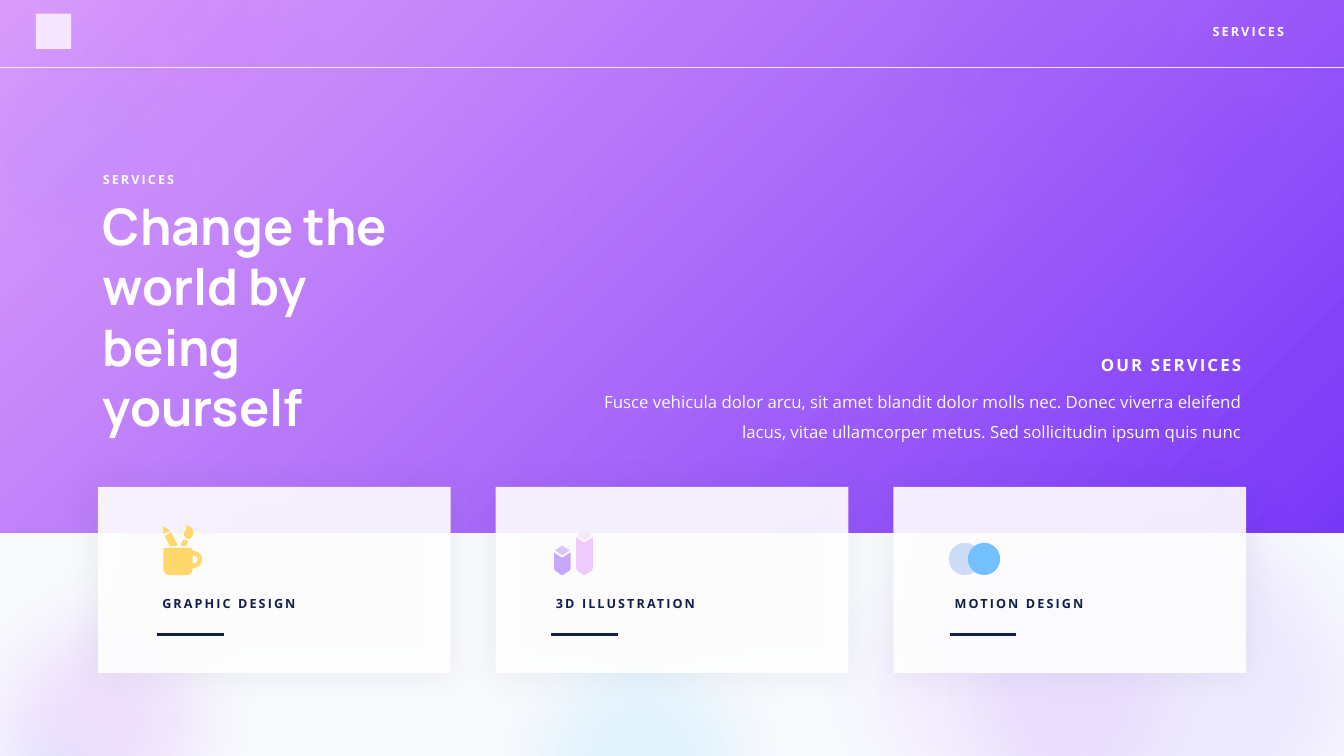
from lxml.etree import SubElement as add_node
from pptx import Presentation as Deck
from pptx.dml.color import RGBColor as Rgb
from pptx.enum.shapes import MSO_CONNECTOR as Wire, MSO_SHAPE as Kind
from pptx.enum.text import MSO_ANCHOR as Anchor, MSO_AUTO_SIZE as Fit, PP_ALIGN as Align
from pptx.oxml.ns import qn
from pptx.util import Pt

PX = 9144
WIDE, HIGH = 2666, 1500

WHITE = Rgb(0xFF, 0xFF, 0xFF)
PAPER = Rgb(0xF8, 0xFA, 0xFE)
NAVY = Rgb(0x13, 0x1F, 0x49)
INDIGO = Rgb(0x63, 0x16, 0xF9)
PURPLE = Rgb(0x9E, 0x6E, 0xFB)
ORCHID = Rgb(0xD1, 0x7D, 0xFC)
BLUSH = Rgb(0xF1, 0xCD, 0xFC)
PETAL = Rgb(0xF6, 0xE5, 0xFE)
PINK = Rgb(0xED, 0xCB, 0xFE)
LILAC = Rgb(0xC5, 0xA8, 0xFD)
MAUVE = Rgb(0xD8, 0xC5, 0xFD)
BLUE = Rgb(0x72, 0xC0, 0xFD)
AQUA = Rgb(0x8B, 0xD8, 0xFD)
ICE = Rgb(0xCC, 0xDB, 0xF8)
GOLD = Rgb(0xFF, 0xD7, 0x6B)

LABEL = dict(size=Pt(18), name="Open Sans", bold=True)
HEAD = dict(size=Pt(24), name="Open Sans", bold=True)
PROSE = dict(size=Pt(24), name="Open Sans", bold=False)
TITLE = dict(size=Pt(72), name="Manrope", bold=True)

GLOWS = [
    (-240, -113, 745, BLUE, 20),
    (0, -352, 745, ORCHID, 17),
    (2169, 20, 523, PURPLE, 19),
    (1764, 826, 1076, PURPLE, 12),
    (1561, 910, 916, ORCHID, 10),
    (899, 1127, 745, AQUA, 20),
    (1657, -278, 745, BLUSH, 20),
    (-169, 1057, 745, ORCHID, 20),
    (-169, 1306, 523, BLUE, 19),
]

MUG = [
    [[(59, 51), (61, 51), (69, 53), (76, 59), (78, 68), (76, 77), (69, 83),
      (61, 85), (59, 85), (59, 89), (56, 96), (49, 99), (12, 99), (5, 96),
      (1, 89), (1, 49), (2, 46), (5, 45), (55, 45), (58, 46), (59, 49)],
     [(59, 61), (60, 60), (61, 60), (67, 62), (70, 68), (67, 74), (61, 76),
      (60, 76), (59, 75)]],
    [[(13, 12), (13, 10), (3, 3), (1, 3), (0, 4), (0, 6), (1, 16), (3, 17)]],
    [[(4, 21), (4, 22), (13, 40), (15, 41), (27, 41), (29, 39), (29, 38),
      (17, 15), (15, 15)]],
    [[(45, 30), (43, 28), (41, 28), (36, 38), (36, 40), (38, 41), (45, 41),
      (47, 40), (50, 32), (49, 31)]],
    [[(60, 11), (56, 4), (48, 0), (46, 1), (46, 3), (47, 7), (44, 11), (42, 15),
      (42, 21), (46, 26), (52, 27), (56, 25), (60, 19)]],
]
LID = [(0, 9), (12, 1), (14, 0), (17, 1), (29, 9), (16, 18), (13, 18)]


def scale(*box):
    return [v * PX for v in box]


def paint(shape, color, alpha=100):
    shape.shadow.inherit = False
    shape.line.fill.background()
    shape.fill.solid()
    shape.fill.fore_color.rgb = color
    if alpha < 100:
        tint = shape._element.spPr.find(".//" + qn("a:srgbClr"))
        add_node(tint, qn("a:alpha"), val=str(alpha * 1000))
    return shape


def add_form(slide, kind, box, color, alpha=100):
    return paint(slide.shapes.add_shape(kind, *scale(*box)), color, alpha)


def add_effect(shape, tag, **values):
    effects = shape._element.spPr.find(qn("a:effectLst"))
    return add_node(effects, qn(tag), **{k: str(v) for k, v in values.items()})


def add_shade(shape, color, alpha, blur):
    shade = add_effect(shape, "a:outerShdw", blurRad=Pt(blur), dist=Pt(3),
                       dir=135 * 60000, algn="tl", rotWithShape=0)
    tint = add_node(shade, qn("a:srgbClr"), val=str(color))
    add_node(tint, qn("a:alpha"), val=str(alpha * 1000))


def blend(shape, stops, angle):
    old = shape._element.spPr.find(qn("a:solidFill"))
    grad = old.makeelement(qn("a:gradFill"), {"rotWithShape": "1"})
    old.getparent().replace(old, grad)
    chain = add_node(grad, qn("a:gsLst"))
    for pos, color, alpha in stops:
        stop = add_node(chain, qn("a:gs"), pos=str(pos * 1000))
        tint = add_node(stop, qn("a:srgbClr"), val=str(color))
        add_node(tint, qn("a:alpha"), val=str(alpha * 1000))
    add_node(grad, qn("a:lin"), ang=str(angle * 60000), scaled="0")


def write(frame, words, look, color, align=Align.LEFT, gap=0, wrap=True):
    for key, value in dict(word_wrap=wrap, auto_size=Fit.NONE,
                           vertical_anchor=Anchor.TOP).items():
        setattr(frame, key, value)
    para = frame.paragraphs[0]
    para.alignment = align
    run = para.add_run()
    run.text = words
    for key, value in look.items():
        setattr(run.font, key, value)
    run.font.color.rgb = color
    if gap:
        run._r.get_or_add_rPr().set("spc", str(gap * 100))
    return para


def add_label(slide, box, words, look, color, align=Align.LEFT):
    frame = slide.shapes.add_textbox(*scale(*box)).text_frame
    write(frame, words, look, color, align, 3, False)


def add_rule(slide, left, top, width, color, weight):
    rule = slide.shapes.add_connector(
        Wire.STRAIGHT, *scale(left, top, left + width, top))
    rule.line.color.rgb = color
    rule.line.width = Pt(weight)
    add_node(rule._element.spPr, qn("a:effectLst"))


def draw(slide, left, top, loops, color):
    pen = slide.shapes.build_freeform(*loops[0][0], scale=PX)
    pen.add_line_segments(loops[0][1:])
    for loop in loops[1:]:
        pen.move_to(*loop[0])
        pen.add_line_segments(loop[1:])
    paint(pen.convert_to_shape(*scale(left, top)), color)


def add_glows(slide):
    for left, top, size, color, alpha in GLOWS:
        glow = add_form(slide, Kind.OVAL, (left, top, size, size), color, alpha)
        add_effect(glow, "a:softEdge", rad=Pt(100))


def add_header(slide, left, top, width, height):
    add_form(slide, Kind.RECTANGLE, (left + 71, top + 27, 70, 70), PETAL)
    add_label(slide, (left + width - 277, top + 42, 168, 40), "SERVICES",
              LABEL, WHITE, Align.RIGHT)
    add_rule(slide, left, top + height, width, PETAL, 0.5)


def add_hero(slide, left, top, width, height):
    back = add_form(slide, Kind.RECTANGLE, (left, top, width, height), INDIGO)
    blend(back, [(0, INDIGO, 85), (100, ORCHID, 74)], 225)
    title, body = slide.placeholders
    edge = left + width - 194
    for holder, box in ((title, (left + 194, top + 382, 700, 495)),
                        (body, (edge - 1360, top + 752, 1360, 125))):
        holder.left, holder.top, holder.width, holder.height = scale(*box)
        slide.shapes._spTree.append(holder._element)
    write(title.text_frame, "Change the world by being yourself", TITLE, WHITE)
    para = write(
        body.text_frame,
        "Fusce vehicula dolor arcu, sit amet blandit dolor molls nec. "
        "Donec viverra eleifend lacus, vitae ullamcorper metus. "
        "Sed sollicitudin ipsum quis nunc", PROSE, PAPER, Align.RIGHT)
    para.line_spacing = 1.5
    para.space_before = Pt(0)
    props = para._p.get_or_add_pPr()
    props.set("marL", "0")
    props.set("indent", "0")
    add_node(props, qn("a:buNone"))
    add_label(slide, (left + 194, top + 336, 168, 40), "SERVICES", LABEL, PAPER)
    add_label(slide, (edge - 306, top + 699, 306, 50), "OUR SERVICES",
              HEAD, WHITE, Align.RIGHT)


def add_mug(slide, left, top):
    for loops in MUG:
        draw(slide, left + 129, top + 76, loops, GOLD)


def add_bars(slide, left, top):
    for x, y, lid, side in ((116, 130, MAUVE, LILAC), (160, 100, PETAL, PINK)):
        base = 174 - y
        body = [(0, 0), (13, 9), (16, 10), (19, 9), (33, 0), (33, base - 12),
                (31, base - 8), (19, base), (16, base + 1), (13, base),
                (2, base - 8), (0, base - 12)]
        draw(slide, left + x + 2, top + y - 13, [LID], lid)
        draw(slide, left + x, top + y, [body], side)


def add_discs(slide, left, top):
    for x, color in ((110, ICE), (148, BLUE)):
        add_form(slide, Kind.OVAL, (left + x, top + 111, 64, 64), color)


def add_card(slide, left, top, width, height, words, inset, span, icon):
    card = add_form(slide, Kind.RECTANGLE, (left, top, width, height), WHITE, 90)
    add_shade(card, NAVY, 8, 51)
    icon(slide, left, top)
    add_label(slide, (left + inset, top + 211, span, 40), words, LABEL, NAVY)
    add_rule(slide, left + inset, top + 293, 132, NAVY, 3)


def main():
    deck = Deck()
    deck.slide_width, deck.slide_height = scale(WIDE, HIGH)
    slide = deck.slides.add_slide(deck.slide_layouts[1])
    slide.background.fill.solid()
    slide.background.fill.fore_color.rgb = PAPER
    add_glows(slide)
    add_hero(slide, 0, 0, WIDE, 1057)
    add_header(slide, 0, 0, WIDE, 133)
    cards = [("GRAPHIC DESIGN", 118, 291, add_mug),
             ("3D ILLUSTRATION", 110, 303, add_bars),
             ("MOTION DESIGN", 112, 282, add_discs)]
    for i, parts in enumerate(cards):
        add_card(slide, 194 + 789 * i, 966, 700, 369, *parts)
    deck.save("out.pptx")


if __name__ == "__main__":
    main()
